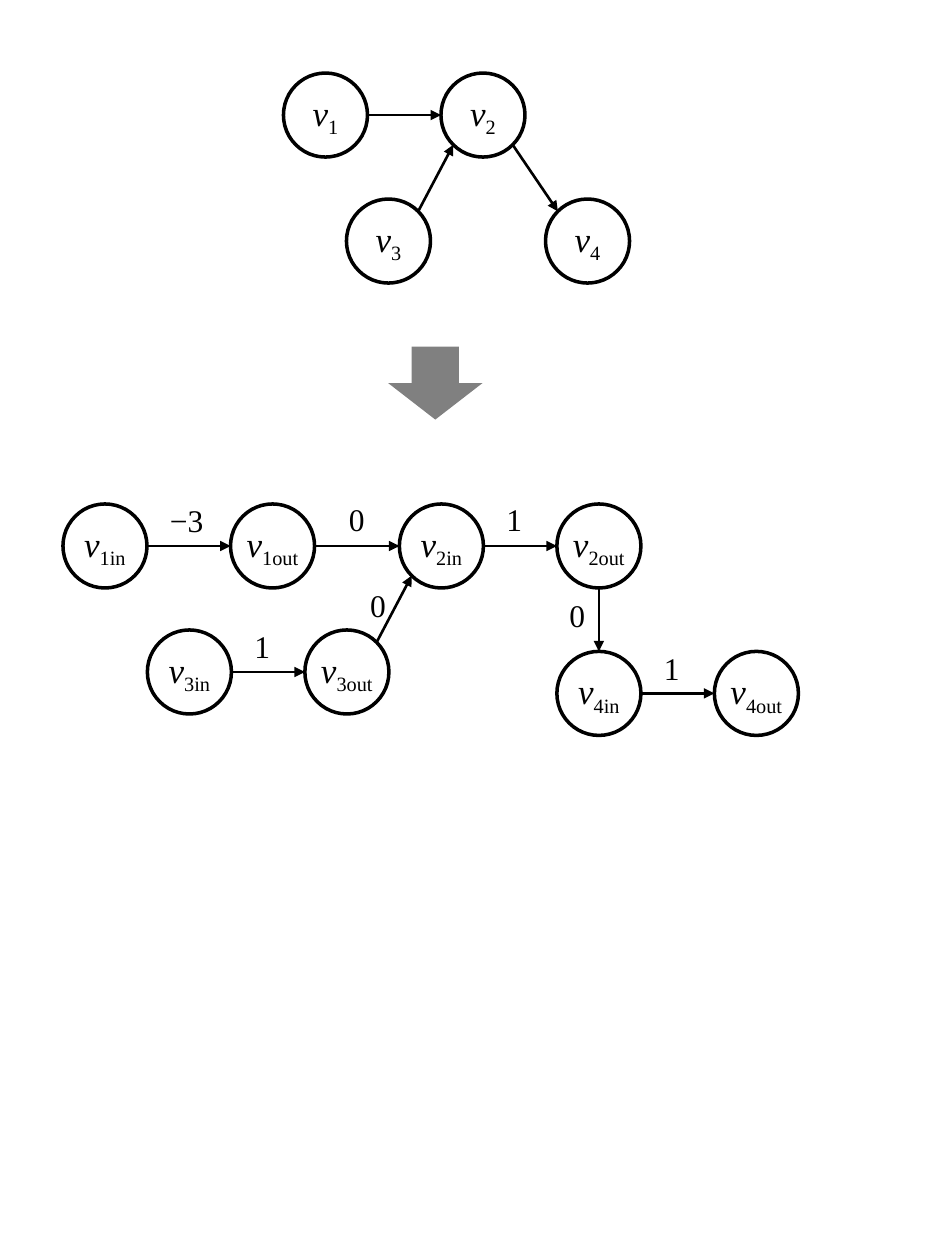
from lxml.etree import SubElement
from pptx import Presentation
from pptx.dml.color import RGBColor
from pptx.enum.shapes import MSO_CONNECTOR, MSO_SHAPE
from pptx.enum.text import MSO_ANCHOR, MSO_AUTO_SIZE, PP_ALIGN
from pptx.oxml.ns import qn
from pptx.util import Inches, Pt

DIAMETER = 0.667
RADIUS = DIAMETER / 2
DIAGONAL = 0.707
# Directions from a node's centre to its rim, in units of the radius
RIM = {
    "top": (0, -1), "bottom": (0, 1), "left": (-1, 0), "right": (1, 0),
    "bottom left": (-DIAGONAL, DIAGONAL), "bottom right": (DIAGONAL, DIAGONAL),
    "top left": (-DIAGONAL, -DIAGONAL), "top right": (DIAGONAL, -DIAGONAL),
}

# Subscript: left, top within the graph
VERTICES = {"1": (0, 0), "2": (1.25, 0), "3": (0.5, 1), "4": (2.08, 1)}
# From, side, to, side
ARCS = [
    ("1", "right", "2", "left"),
    ("3", "top right", "2", "bottom left"),
    ("2", "bottom right", "4", "top left"),
]

SPLIT_VERTICES = {
    "1in": (0, 0), "1out": (1.33, 0), "2in": (2.67, 0), "2out": (3.92, 0),
    "3in": (0.67, 1), "3out": (1.92, 1), "4in": (3.92, 1.17), "4out": (5.17, 1.17),
}
SPLIT_ARCS = [
    ("1in", "right", "1out", "left"),
    ("1out", "right", "2in", "left"),
    ("2in", "right", "2out", "left"),
    ("3in", "right", "3out", "left"),
    ("3out", "top right", "2in", "bottom left"),
    ("2out", "bottom", "4in", "top"),
    ("4in", "right", "4out", "left"),
]
# Weight, left, top, width
WEIGHTS = [
    ("−3", 0.75, -0.07, 0.47),
    ("0", 2.17, -0.08, 0.33),
    ("1", 3.42, -0.08, 0.33),
    ("1", 1.42, 0.93, 0.33),
    ("0", 2.34, 0.6, 0.33),
    ("0", 3.92, 0.68, 0.33),
    ("1", 4.67, 1.1, 0.33),
]


def color(hex_value):
    return RGBColor.from_string(hex_value)


def set_font(font, size):
    font.name = "Times New Roman"
    font.size = Pt(size)
    font.color.rgb = color("000000")


def add_vertex(slide, left, top, subscript):
    vertex = slide.shapes.add_shape(
        MSO_SHAPE.OVAL, Inches(left), Inches(top), Inches(DIAMETER), Inches(DIAMETER))
    vertex.shadow.inherit = False
    vertex.fill.background()
    vertex.line.color.rgb = color("000000")
    vertex.line.width = Pt(2)
    frame = vertex.text_frame
    frame.word_wrap = False
    frame.vertical_anchor = MSO_ANCHOR.MIDDLE
    paragraph = frame.paragraphs[0]
    paragraph.alignment = PP_ALIGN.CENTER
    set_font(paragraph.font, 20)
    symbol, index = paragraph.add_run(), paragraph.add_run()
    symbol.text, index.text = "v", subscript
    symbol.font.italic = True
    index._r.get_or_add_rPr().set("baseline", "-25000")


def rim_point(left, top, side):
    across, down = RIM[side]
    return Inches(left + RADIUS * (1 + across)), Inches(top + RADIUS * (1 + down))


def add_arc(slide, start, end):
    arc = slide.shapes.add_connector(MSO_CONNECTOR.STRAIGHT, *start, *end)
    arc.line.color.rgb = color("000000")
    arc.line.width = Pt(1.5)
    SubElement(arc.line._get_or_add_ln(), qn("a:tailEnd"), type="triangle")
    SubElement(arc._element.spPr, qn("a:effectLst"))


def add_weight(slide, left, top, width, weight):
    label = slide.shapes.add_textbox(Inches(left), Inches(top), Inches(width), Inches(0.4))
    frame = label.text_frame
    frame.word_wrap = False
    frame.auto_size = MSO_AUTO_SIZE.SHAPE_TO_FIT_TEXT
    paragraph = frame.paragraphs[0]
    paragraph.text = weight
    set_font(paragraph.font, 18)


def add_graph(slide, left, top, vertices, arcs, weights=()):
    """Draw a directed graph whose top left corner is at left, top."""
    places = {name: (left + x, top + y) for name, (x, y) in vertices.items()}
    for name, place in places.items():
        add_vertex(slide, *place, name)
    for source, source_side, target, target_side in arcs:
        add_arc(slide, rim_point(*places[source], source_side),
                rim_point(*places[target], target_side))
    for weight, x, y, width in weights:
        add_weight(slide, left + x, top + y, width, weight)


def add_transformation(slide, left, top, width, height):
    arrow = slide.shapes.add_shape(
        MSO_SHAPE.DOWN_ARROW, Inches(left), Inches(top), Inches(width), Inches(height))
    arrow.shadow.inherit = False
    arrow.fill.solid()
    arrow.fill.fore_color.rgb = color("808080")
    arrow.line.fill.background()


def main():
    presentation = Presentation()
    presentation.slide_width = Inches(7.5)
    presentation.slide_height = Inches(10)
    slide = presentation.slides.add_slide(presentation.slide_layouts[6])
    add_graph(slide, 2.25, 0.58, VERTICES, ARCS)
    add_transformation(slide, 3.08, 2.75, 0.75, 0.58)
    add_graph(slide, 0.5, 4, SPLIT_VERTICES, SPLIT_ARCS, WEIGHTS)
    presentation.save("out.pptx")


if __name__ == "__main__":
    main()
